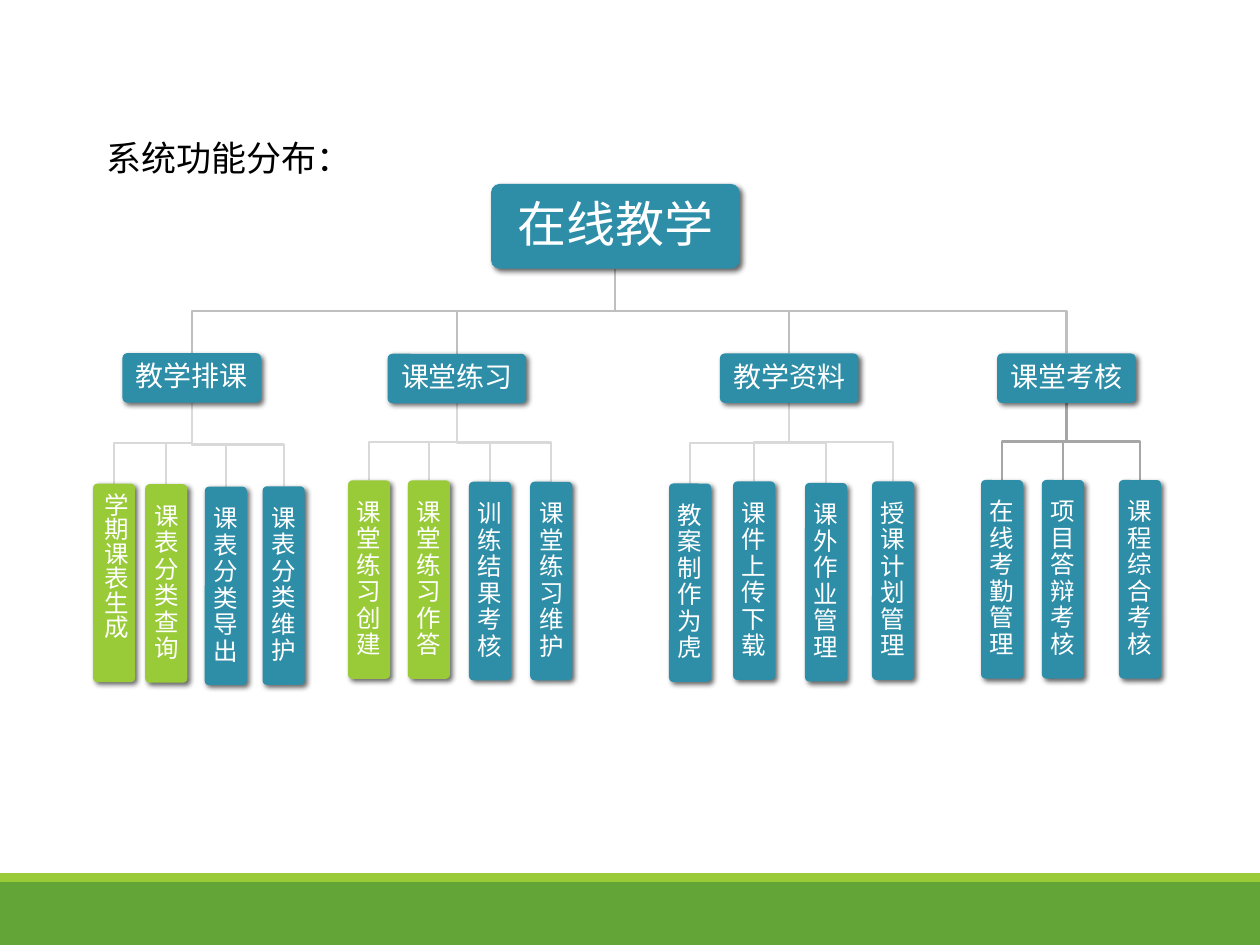
import dataclasses

import lxml.etree
import pptx
import pptx.dml.color
import pptx.enum.shapes
import pptx.enum.text
import pptx.oxml.ns
import pptx.util

Pt = pptx.util.Pt
SHAPE = pptx.enum.shapes.MSO_SHAPE
ALIGN = pptx.enum.text.PP_ALIGN
ANCHOR = pptx.enum.text.MSO_ANCHOR
qn = pptx.oxml.ns.qn


@dataclasses.dataclass(frozen=True)
class Theme:
    font: str = "Calibri"
    teal: str = "2E8EA8"
    lime: str = "99CB38"
    green: str = "63A537"
    white: str = "FFFFFF"
    black: str = "000000"
    root_line: str = "BFBFBF"
    light_line: str = "D9D9D9"
    dark_line: str = "A6A6A6"
    heading_size: float = 20
    root_size: float = 28
    branch_size: float = 16
    leaf_size: float = 14
    line_width: float = 1.25


THEME = Theme()
LEAF_WIDTH, LEAF_HEIGHT = 24, 113.4
BRANCH_WIDTH, BRANCH_HEIGHT = 79.2, 28.3
ROOT_BOX = (280.6, 105.1, 142, 48.4)

# Branch: name, centre x, top, line colour, leaves
# Leaf: name, offset from branch centre, drop below branch, highlighted
BRANCHES = [
    ("教学排课", 109.6, 201.8, THEME.light_line, [
        ("学期课表生成", -44.4, 46.3, True),
        ("课表分类查询", -14.6, 46.6, True),
        ("课表分类导出", 19.4, 48, False),
        ("课表分类维护", 52.5, 47.8, False)]),
    ("课堂练习", 261.1, 202.2, THEME.light_line, [
        ("课堂练习创建", -50.2, 44, True),
        ("课堂练习作答", -16, 44, True),
        ("训练结果考核", 18.9, 44.8, False),
        ("课堂练习维护", 53.9, 44.8, False)]),
    ("教学资料", 451, 202, THEME.light_line, [
        ("教案制作为虎", -56.7, 46, False),
        ("课件上传下载", -20.1, 44.8, False),
        ("课外作业管理", 21, 45.7, False),
        ("授课计划管理", 59.3, 44.8, False)]),
    ("课堂考核", 609.4, 202, THEME.dark_line, [
        ("在线考勤管理", -36.8, 44, False),
        ("项目答辩考核", -2, 44, False),
        ("课程综合考核", 42, 44, False)]),
]


def rgb(value):
    return pptx.dml.color.RGBColor.from_string(value)


def style_text(paragraph, size, color, align):
    paragraph.alignment = align
    paragraph.font.name = THEME.font
    paragraph.font.size = Pt(size)
    paragraph.font.color.rgb = rgb(color)


def add_block(slide, box, preset, color):
    block = slide.shapes.add_shape(preset, *map(Pt, box))
    block.shadow.inherit = False
    block.fill.solid()
    block.fill.fore_color.rgb = rgb(color)
    block.line.fill.background()
    return block


def add_node(slide, box, name, size, color, inset):
    """Rounded, shadowed box with a centred label."""
    node = add_block(slide, box, SHAPE.ROUNDED_RECTANGLE, color)
    node.adjustments[0] = 0.1
    effects = node._element.spPr.find(qn("a:effectLst"))
    shadow = lxml.etree.SubElement(
        effects, qn("a:outerShdw"), blurRad=str(Pt(3)), dist=str(Pt(2)),
        dir="2700000", algn="tl", rotWithShape="0")
    tint = lxml.etree.SubElement(shadow, qn("a:srgbClr"), val=THEME.black)
    lxml.etree.SubElement(tint, qn("a:alpha"), val="60000")

    label = node.text_frame
    label.word_wrap = True
    label.vertical_anchor = ANCHOR.MIDDLE
    label.margin_left = label.margin_right = Pt(inset)
    label.margin_top = label.margin_bottom = Pt(inset)
    label.text = name
    style_text(label.paragraphs[0], size, THEME.white, ALIGN.CENTER)
    label.paragraphs[0].line_spacing = 0.9
    return node


def add_elbow(slide, start, end, color):
    """Line that goes down, across at half height, and down again."""
    (x1, y1), (x2, y2) = start, end
    middle = (y1 + y2) / 2
    outline = slide.shapes.build_freeform(Pt(x1), Pt(y1))
    outline.add_line_segments(
        [(Pt(x), Pt(y)) for x, y in ((x1, middle), (x2, middle), (x2, y2))],
        close=False)
    elbow = outline.convert_to_shape()
    elbow.shadow.inherit = False
    elbow.fill.background()
    elbow.line.color.rgb = rgb(color)
    elbow.line.width = Pt(THEME.line_width)


def draw_footer(slide, box):
    left, top, width, height = box
    stripe = 5
    add_block(slide, (left, top + stripe, width, height - stripe),
              SHAPE.RECTANGLE, THEME.green)
    add_block(slide, (left, top, width, stripe), SHAPE.RECTANGLE, THEME.lime)


def draw_heading(slide, box, wording):
    heading = slide.shapes.title
    heading.left, heading.top, heading.width, heading.height = map(Pt, box)
    heading.text_frame.text = wording
    heading.text_frame.vertical_anchor = ANCHOR.TOP
    heading.text_frame.auto_size = pptx.enum.text.MSO_AUTO_SIZE.NONE
    style_text(heading.text_frame.paragraphs[0], THEME.heading_size,
               THEME.black, ALIGN.LEFT)


def draw_branch(slide, box, name, line_color, leaves):
    """Branch box with its row of leaves below."""
    left, top, width, height = box
    centre, bottom = left + width / 2, top + height
    for _, offset, drop, _ in leaves:
        add_elbow(slide, (centre, bottom), (centre + offset, bottom + drop), line_color)
    add_node(slide, box, name, THEME.branch_size, THEME.teal, 5)
    for leaf_name, offset, drop, highlighted in leaves:
        leaf_box = (centre + offset - LEAF_WIDTH / 2, bottom + drop,
                    LEAF_WIDTH, LEAF_HEIGHT)
        leaf = add_node(slide, leaf_box, leaf_name, THEME.leaf_size,
                        THEME.lime if highlighted else THEME.teal, 4.4)
        # The first leaf is set in vertical type, a little higher
        if leaf_name == "学期课表生成":
            leaf.text_frame._txBody.bodyPr.set("vert", "eaVert")
            leaf.text_frame.margin_bottom = Pt(20)


def draw_tree(slide, root_box):
    left, top, width, height = root_box
    root_foot = (left + width / 2, top + height)
    for _, centre, branch_top, _, _ in BRANCHES:
        add_elbow(slide, root_foot, (centre, branch_top), THEME.root_line)
    add_node(slide, root_box, "在线教学", THEME.root_size, THEME.teal, 8.4)
    for name, centre, branch_top, line_color, leaves in BRANCHES:
        branch_box = (centre - BRANCH_WIDTH / 2, branch_top,
                      BRANCH_WIDTH, BRANCH_HEIGHT)
        draw_branch(slide, branch_box, name, line_color, leaves)


deck = pptx.Presentation()
deck.slide_width, deck.slide_height = Pt(720), Pt(540)
function_map = deck.slides.add_slide(deck.slide_layouts[5])
draw_footer(function_map, (0, 499, 720, 41))
draw_heading(function_map, (53.5, 74.3, 627, 31.5), "系统功能分布：")
draw_tree(function_map, ROOT_BOX)
deck.save("out.pptx")
